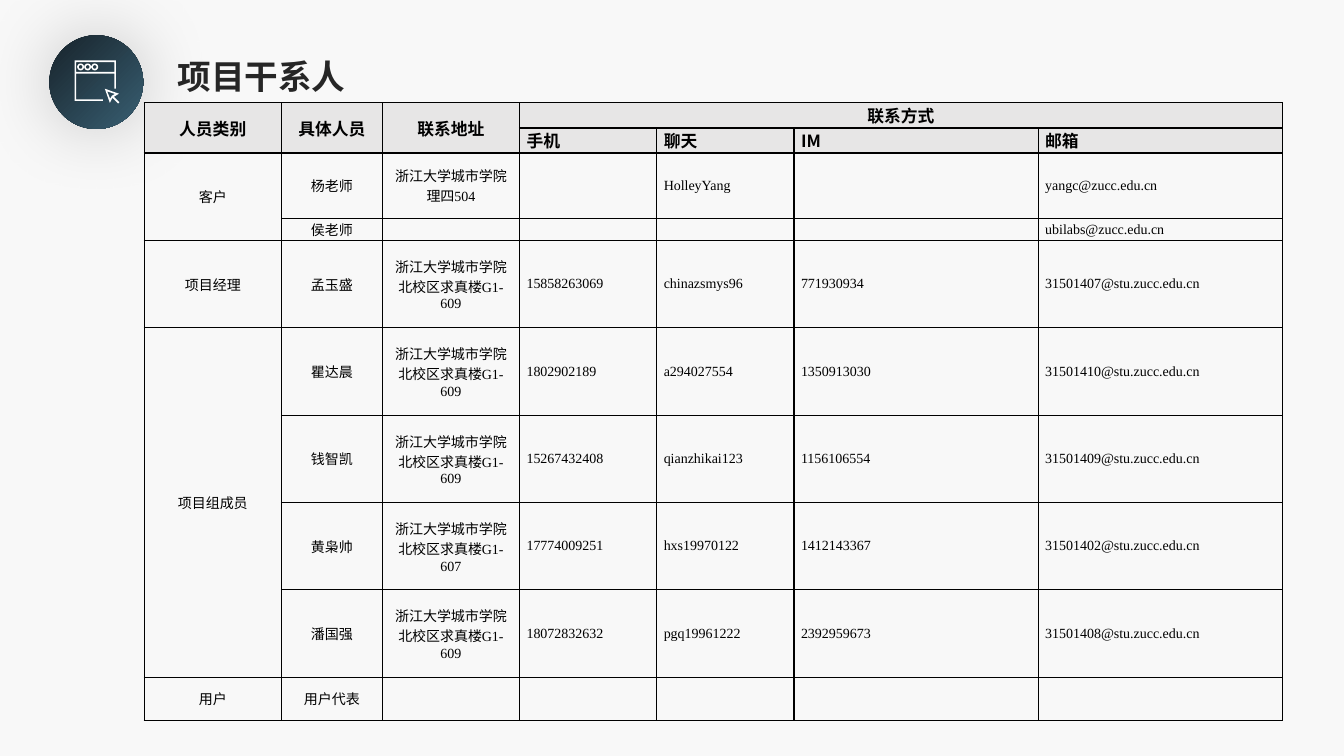
from math import cos, pi, sin

from lxml import etree
from pptx import Presentation
from pptx.dml.color import RGBColor
from pptx.enum.shapes import MSO_SHAPE
from pptx.enum.text import MSO_ANCHOR, MSO_AUTO_SIZE, PP_ALIGN
from pptx.oxml.ns import qn
from pptx.util import Inches, Pt

CENTER, JUSTIFY, LEFT = PP_ALIGN.CENTER, PP_ALIGN.JUSTIFY, PP_ALIGN.LEFT
MIDDLE = MSO_ANCHOR.MIDDLE
NO_AUTOSIZE = MSO_AUTO_SIZE.NONE
OVAL = MSO_SHAPE.OVAL

PAPER = RGBColor(0xF8, 0xF8, 0xF8)
WHITE = RGBColor(0xFF, 0xFF, 0xFF)
BLACK = RGBColor(0, 0, 0)
INK = RGBColor(0x26, 0x26, 0x26)
HEADER_GRAY = RGBColor(0xE7, 0xE6, 0xE6)
DISC_DARK = RGBColor(0x17, 0x23, 0x2B)
DISC_LIGHT = RGBColor(0x39, 0x5F, 0x72)

SANS, SERIF = "Noto Sans CJK SC", "Times New Roman"

DISC_BOX = (0.49, 0.35, 0.93, 0.93)
TITLE_BOX = (1.66, 0.5, 3.6, 0.5)
TABLE_BOX = (1.43, 1.02, 11.29, 6.13)

ICON_GRID = 930
WINDOW_FRAME = [(250, 250), (660, 250), (660, 530), (644, 530), (644, 380),
                (266, 380), (266, 636), (530, 636), (530, 652), (250, 652)]
TITLE_BAR = [(266, 266), (266, 364), (644, 364), (644, 266)]
CURSOR = [(550, 530), (690, 580), (640, 610), (695, 665), (682, 677), (625, 620), (600, 670)]
CURSOR_HOLE = [(573, 556), (603, 630), (620, 600), (650, 582)]
BUTTON_CENTERS = [(310 + 70 * step, 314) for step in range(3)]
BUTTON_RADII = (34, 18)

COLUMN_SHARES = [1.36, 1, 1.36, 1.36, 1.36, 2.42, 2.42]
ROW_SHARES = [0.25, 0.25, 0.65, 0.22] + [0.87] * 5 + [0.43]
HEADER_ROWS = 2
CENTERED_COLUMNS = 3
MERGES = [(0, 0, 1, 0), (0, 1, 1, 1), (0, 2, 1, 2), (0, 3, 0, 6), (2, 0, 3, 0), (5, 0, 8, 0)]
CAMPUS = "浙江大学城市学院"
NORTH = CAMPUS + "北校区求真楼G1-"
STAKEHOLDERS = [
    ["人员类别", "具体人员", "联系地址", "联系方式", "", "", ""],
    ["", "", "", "手机", "聊天", "IM", "邮箱"],
    ["客户", "杨老师", CAMPUS + "理四504", "", "HolleyYang", "", "yangc@zucc.edu.cn"],
    ["", "侯老师", "", "", "", "", "ubilabs@zucc.edu.cn"],
    ["项目经理", "孟玉盛", NORTH + "609", "15858263069", "chinazsmys96", "771930934",
     "31501407@stu.zucc.edu.cn"],
    ["项目组成员", "瞿达晨", NORTH + "609", "1802902189", "a294027554", "1350913030",
     "31501410@stu.zucc.edu.cn"],
    ["", "钱智凯", NORTH + "609", "15267432408", "qianzhikai123", "1156106554",
     "31501409@stu.zucc.edu.cn"],
    ["", "黄枭帅", NORTH + "607", "17774009251", "hxs19970122", "1412143367",
     "31501402@stu.zucc.edu.cn"],
    ["", "潘国强", NORTH + "609", "18072832632", "pgq19961222", "2392959673",
     "31501408@stu.zucc.edu.cn"],
    ["用户", "用户代表", "", "", "", "", ""],
]


def style_run(run, size, color, bold, latin):
    font = run.font
    font.size, font.bold, font.name = Pt(size), bold, latin
    font.color.rgb = color
    etree.SubElement(run._r.get_or_add_rPr(), qn("a:ea"), typeface=SANS)


def add_glow(shape):
    effects = etree.SubElement(shape._element.spPr, qn("a:effectLst"))
    shadow = etree.SubElement(effects, qn("a:outerShdw"), blurRad=str(Pt(53)),
                              dist="0", dir="0", algn="ctr", rotWithShape="0")
    color = etree.SubElement(shadow, qn("a:srgbClr"), val=str(BLACK))
    etree.SubElement(color, qn("a:alpha"), val="20000")


def circle(center, radius, sides=24):
    x, y = center
    angles = [2 * pi * side / sides for side in range(sides)]
    return [(x + radius * cos(angle), y + radius * sin(angle)) for angle in angles]


def add_window_icon(slide, box):
    left, top, width, height = map(Inches, box)
    disc = slide.shapes.add_shape(OVAL, left, top, width, height)
    disc.fill.gradient()
    disc.fill.gradient_angle = 315
    for stop, color, position in zip(disc.fill.gradient_stops, (DISC_DARK, DISC_LIGHT), (0, 1)):
        stop.color.rgb, stop.position = color, position
    disc.line.fill.background()
    add_glow(disc)

    buttons = [circle(center, radius) for center in BUTTON_CENTERS for radius in BUTTON_RADII]
    first, *others = [WINDOW_FRAME, TITLE_BAR, CURSOR, CURSOR_HOLE] + buttons
    outline = slide.shapes.build_freeform(*first[0], scale=width / ICON_GRID)
    outline.add_line_segments(first[1:])
    for contour in others:
        outline.move_to(*contour[0])
        outline.add_line_segments(contour[1:])
    window = outline.convert_to_shape(left, top)
    window.shadow.inherit = False
    window.fill.solid()
    window.fill.fore_color.rgb = WHITE
    window.line.fill.background()


def add_title(slide, box):
    title = slide.shapes.title
    title.left, title.top, title.width, title.height = map(Inches, box)
    frame = title.text_frame
    frame.text = "项目干系人"
    frame.auto_size, frame.vertical_anchor = NO_AUTOSIZE, MIDDLE
    frame.paragraphs[0].alignment = LEFT
    style_run(frame.paragraphs[0].runs[0], 24, INK, True, SANS)


def add_borders(cell):
    properties = cell._tc.get_or_add_tcPr()
    for side in ("a:lnL", "a:lnR", "a:lnT", "a:lnB"):
        border = etree.SubElement(properties, qn(side), w=str(Pt(1)))
        fill = etree.SubElement(border, qn("a:solidFill"))
        etree.SubElement(fill, qn("a:srgbClr"), val=str(BLACK))


def format_cell(cell, text, row, column):
    is_header = row < HEADER_ROWS
    size = 12 if is_header else 10
    cell.text = text
    cell.margin_left = cell.margin_right = Inches(0.07)
    cell.margin_top = cell.margin_bottom = 0
    cell.vertical_anchor = MIDDLE
    add_borders(cell)
    if is_header:
        cell.fill.solid()
        cell.fill.fore_color.rgb = HEADER_GRAY
    else:
        cell.fill.background()
    paragraph = cell.text_frame.paragraphs[0]
    paragraph.alignment = CENTER if row == 0 or column < CENTERED_COLUMNS else JUSTIFY
    for run in paragraph.runs:
        style_run(run, size, BLACK, is_header, SANS if text == "IM" else SERIF)
    if not text:
        etree.SubElement(paragraph._p, qn("a:endParaRPr"), sz=str(size * 100))


def add_stakeholder_table(slide, box):
    left, top, width, height = map(Inches, box)
    table = slide.shapes.add_table(len(ROW_SHARES), len(COLUMN_SHARES),
                                   left, top, width, height).table
    table.first_row = table.horz_banding = False
    for column, share in zip(table.columns, COLUMN_SHARES):
        column.width = int(width * share / sum(COLUMN_SHARES))
    for row, share in zip(table.rows, ROW_SHARES):
        row.height = int(height * share / sum(ROW_SHARES))
    for row, texts in enumerate(STAKEHOLDERS):
        for column, text in enumerate(texts):
            format_cell(table.cell(row, column), text, row, column)
    for top_row, first_column, bottom_row, last_column in MERGES:
        table.cell(top_row, first_column).merge(table.cell(bottom_row, last_column))


def main():
    deck = Presentation()
    deck.slide_width, deck.slide_height = Inches(13.33), Inches(7.5)
    slide = deck.slides.add_slide(deck.slide_layouts[5])
    slide.background.fill.solid()
    slide.background.fill.fore_color.rgb = PAPER
    add_window_icon(slide, DISC_BOX)
    add_title(slide, TITLE_BOX)
    add_stakeholder_table(slide, TABLE_BOX)
    deck.save("out.pptx")


if __name__ == "__main__":
    main()
